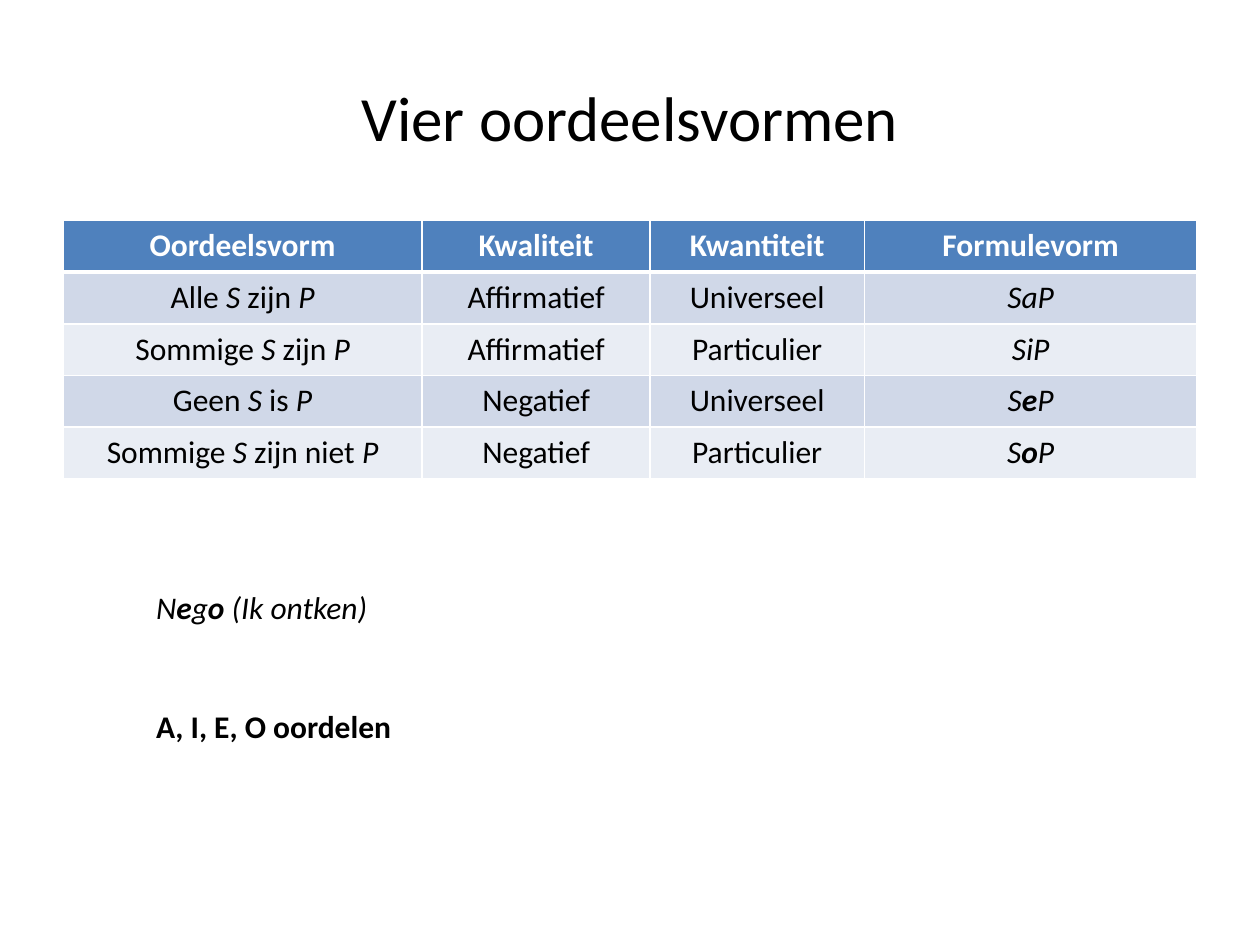
from pptx import Presentation
from pptx.dml.color import RGBColor as RGB
from pptx.enum.text import MSO_ANCHOR as Anchor, PP_ALIGN as Align
from pptx.oxml import parse_xml
from pptx.oxml.ns import nsdecls
from pptx.util import Inches, Pt

HUES = {"ink": "000000", "white": "FFFFFF", "head": "4F81BD",
        "odd": "D0D8E8", "even": "E9EDF4"}


def write(frame, text, size=18, hue="ink", bold=False, align=Align.LEFT):
    """Write one paragraph; _x_ sets x in italics and *x* in bold."""
    para = frame.paragraphs[0]
    para.alignment = align
    for i, part in enumerate(text.split("_")):
        for j, bit in enumerate(part.split("*")):
            if bit:
                run = para.add_run()
                run.text = bit
                font = run.font
                font.name, font.size = "Calibri", Pt(size)
                font.bold, font.italic = bold or j % 2 == 1, i % 2 == 1
                font.color.rgb = RGB.from_string(HUES[hue])


def edge(cell, side, width):
    """Draw one white cell border."""
    cell._tc.get_or_add_tcPr().append(parse_xml(
        f'<a:{side} {nsdecls("a")} w="{Pt(width)}"><a:solidFill>'
        f'<a:srgbClr val="{HUES["white"]}"/></a:solidFill></a:{side}>'))


deck = Presentation()
deck.slide_width, deck.slide_height = Inches(10), Inches(7.5)
slide = deck.slides.add_slide(deck.slide_layouts[6])
shapes = slide.shapes
wide, high = deck.slide_width, deck.slide_height
left, span = int(wide * 0.05), int(wide * 0.9)

# Title
box = shapes.add_textbox(left, int(high * 0.04), span, Inches(1.25))
box.text_frame.word_wrap = True
box.text_frame.vertical_anchor = Anchor.MIDDLE
write(box.text_frame, "Vier oordeelsvormen", size=36, align=Align.CENTER)

# Table of judgement forms
rows = [
    ["Oordeelsvorm", "Kwaliteit", "Kwantiteit", "Formulevorm"],
    ["Alle _S_ zijn _P_", "Affirmatief", "Universeel", "_SaP_"],
    ["Sommige_ S_ zijn _P_", "Affirmatief", "Particulier", "_SiP_"],
    ["Geen _S_ is _P_", "Negatief", "Universeel", "_S*e*P_"],
    ["Sommige _S _zijn niet _P_", "Negatief", "Particulier", "_S*o*P_"],
]
cols = [2.85, 1.81, 1.7, 2.64]
tall = Inches(0.41)
grid = shapes.add_table(len(rows), len(cols), left, Inches(1.75),
                        span, tall * len(rows)).table
for col, width in zip(grid.columns, cols):
    col.width = Inches(width)
for r, row in enumerate(rows):
    grid.rows[r].height = tall
    head = r == 0
    fill = "head" if head else "odd" if r % 2 else "even"
    for c, text in enumerate(row):
        cell = grid.cell(r, c)
        for side in ("lnL", "lnR", "lnT", "lnB"):
            thick = (head and side == "lnB") or (r == 1 and side == "lnT")
            edge(cell, side, 3 if thick else 1)
        cell.fill.solid()
        cell.fill.fore_color.rgb = RGB.from_string(HUES[fill])
        write(cell.text_frame, text, hue="white" if head else "ink",
              bold=head, align=Align.CENTER)

# Notes below the table
notes = [("_N*e*g*o* (Ik ontken)_", 4.62, 2.44, False),
         ("A, I, E, O oordelen", 5.56, 6.54, True)]
for text, top, width, bold in notes:
    box = shapes.add_textbox(Inches(1.14), Inches(top),
                             Inches(width), Inches(0.4))
    box.text_frame.word_wrap = True
    write(box.text_frame, text, bold=bold)

deck.save("out.pptx")
